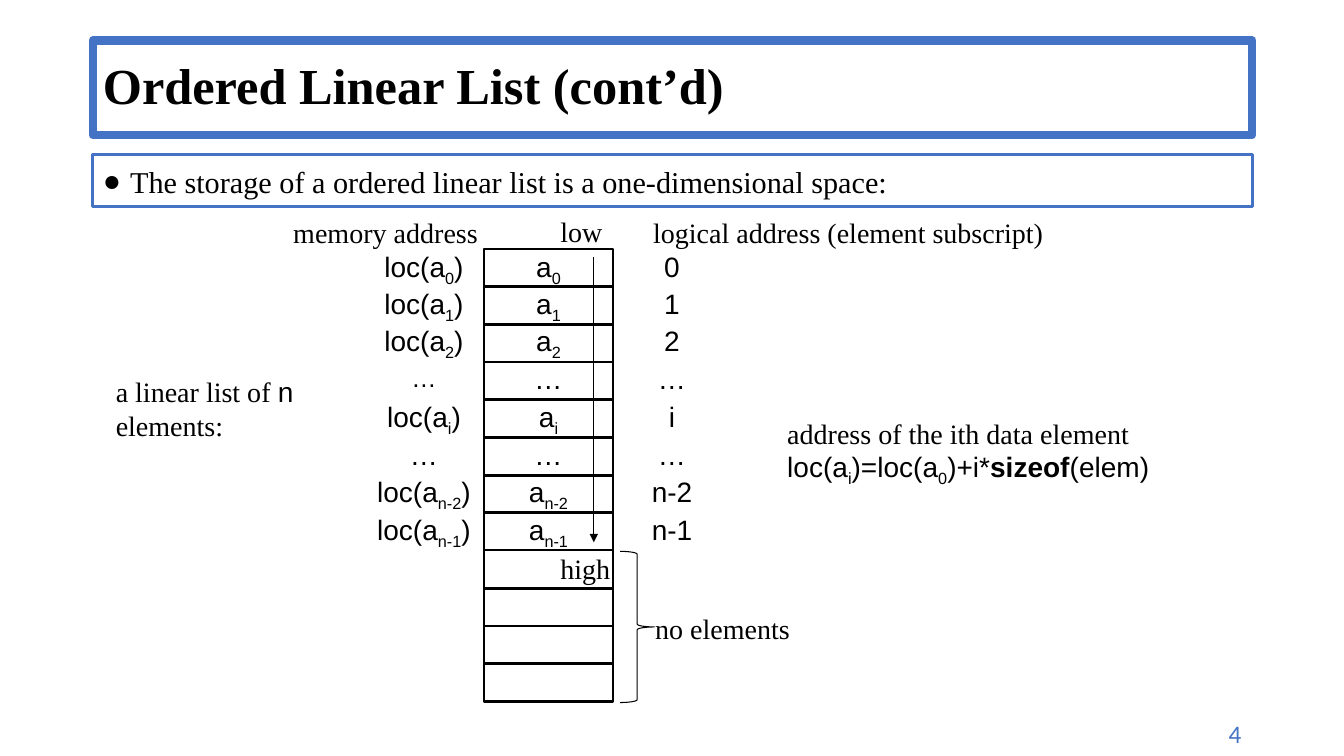
from lxml.etree import SubElement
from pptx import Presentation
from pptx.dml.color import RGBColor
from pptx.enum.shapes import MSO_CONNECTOR, MSO_SHAPE
from pptx.enum.text import MSO_ANCHOR, MSO_AUTO_SIZE, PP_ALIGN
from pptx.oxml.ns import qn
from pptx.util import Emu, Pt

PX = 9144  # 100 px to the inch
BLUE = RGBColor(0x44, 0x72, 0xC4)
BLACK = RGBColor(0, 0, 0)
SERIF, SANS, NUMBER_FACE = "Times New Roman", "Arial", "Calibri"

SUBSCRIPTS = ["0", "1", "2", "…", "i", "…", "n-2", "n-1"]
CELL_COUNT = 12


def px(length):
    return Emu(length * PX)


def place(shape, left, top, width, height):
    shape.left, shape.top = px(left), px(top)
    shape.width, shape.height = px(width), px(height)


def outline(shape, color, points):
    shape.fill.background()
    shape.line.color.rgb = color
    shape.line.width = Pt(points)


def write(para, spans, size=20, face=SERIF, color=BLACK, align=PP_ALIGN.LEFT):
    """Fill a paragraph with (text, style) pairs; style is '', 'sub', 'bold' or a font."""
    para.alignment = align
    para.font.size, para.font.name, para.font.color.rgb = Pt(size), face, color
    for text, style in spans:
        span = para.add_run()
        span.text = text
        if style == "sub":
            span._r.get_or_add_rPr().set("baseline", "-25000")
        elif style == "bold":
            span.font.bold = True
        elif style:
            span.font.name = style


def add_text(page, left, top, width, height, spans, wrap=False, **looks):
    box = page.shapes.add_textbox(px(left), px(top), px(width), px(height))
    box.text_frame.word_wrap = wrap
    write(box.text_frame.paragraphs[0], spans, **looks)
    return box


def center_in_row(box):
    frame = box.text_frame
    frame.word_wrap = False
    frame.vertical_anchor = MSO_ANCHOR.TOP
    frame.margin_top = frame.margin_bottom = 0


def element(subscript):
    """Spans for a list element, or the bare ellipsis."""
    return [("…", "")] if subscript == "…" else [("a", ""), (subscript, "sub")]


def location(subscript):
    if subscript == "…":
        return [("…", "")]
    return [("loc(a", ""), (subscript, "sub"), (")", "")]


def add_heading(page, left, top, width):
    title, body = page.shapes.title, page.placeholders[1]
    for holder, offset, height, points in ((title, 0, 94, 6), (body, 113, 52, 2.25)):
        place(holder, left, top + offset, width, height)
        outline(holder, BLUE, points)
        holder.text_frame.auto_size = MSO_AUTO_SIZE.NONE
    title.text_frame.vertical_anchor = MSO_ANCHOR.MIDDLE
    para = title.text_frame.paragraphs[0]
    para.line_spacing = 0.9
    write(para, [("Ordered Linear List (cont’d)", "")], size=36)
    para.font.bold = True

    # Bulleted statement
    body.text_frame.vertical_anchor = MSO_ANCHOR.TOP
    para = body.text_frame.paragraphs[0]
    para.line_spacing, para.space_before = 1.1, Pt(0)
    properties = para._p.get_or_add_pPr()
    properties.set("marL", str(27 * PX))
    properties.set("indent", str(-27 * PX))
    SubElement(properties, qn("a:buFont")).set("typeface", SANS)
    SubElement(properties, qn("a:buChar")).set("char", "●")
    write(para, [("The storage of a ordered linear list is a one-dimensional space:", "")],
          size=21.6)


def add_memory(page, left, top, width, height):
    """Column of cells with memory addresses on its left and subscripts on its right."""
    row_height = 38
    label_width = 139
    for row in range(CELL_COUNT):
        row_top = top + row * height // CELL_COUNT
        cell = page.shapes.add_shape(MSO_SHAPE.RECTANGLE, px(left), px(row_top),
                                     px(width), px(row_height))
        cell.shadow.inherit = False
        outline(cell, BLACK, 1.5)
        if row >= len(SUBSCRIPTS):
            continue
        subscript = SUBSCRIPTS[row]
        looks = dict(face=SANS, align=PP_ALIGN.CENTER)
        write(cell.text_frame.paragraphs[0], element(subscript), **looks)
        address = add_text(page, left - 129, row_top, label_width, row_height,
                           location(subscript), size=18 if row == 3 else 20, **looks)
        index = add_text(page, left + 117, row_top, label_width, row_height,
                         [(subscript, "")], **looks)
        for box in (cell, address, index):
            center_in_row(box)

    # Column captions
    add_text(page, left - 199, top - 38, 249, 44, [("memory address", "")], wrap=True)
    add_text(page, left + 158, top - 38, 416, 44,
             [("logical address (element subscript)", "")])

    # Direction from low to high
    for label, offset in (("low", -39), ("high", 295)):
        add_text(page, left + 66, top + offset, 80, 44, [(label, "")], wrap=True)
    arrow_x = px(left + 109)
    arrow = page.shapes.add_connector(MSO_CONNECTOR.STRAIGHT, arrow_x, px(top + 8),
                                      arrow_x, px(top + 291))
    arrow.line.color.rgb, arrow.line.width = BLACK, Pt(0.75)
    SubElement(arrow.line._get_or_add_ln(), qn("a:tailEnd")).set("type", "triangle")
    SubElement(arrow._element.spPr, qn("a:effectLst"))

    # Unused cells
    brace = page.shapes.add_shape(MSO_SHAPE.RIGHT_BRACE, px(left + 135), px(top + 300),
                                  px(34), px(150))
    brace.shadow.inherit = False
    outline(brace, BLACK, 0.75)
    add_text(page, left + 160, top + 355, 170, 44, [("no elements", "")], wrap=True)


def add_notes_beside(page, left, top):
    add_text(page, left, top, 209, 77,
             [("a linear list of ", ""), ("n", SANS), (" elements:", "")], wrap=True)
    formula = add_text(page, left + 666, top + 41, 413, 77,
                       [("address of the ith data element", "")], wrap=True)
    write(formula.text_frame.add_paragraph(),
          [("loc(a", ""), ("i", "sub"), (")=loc(a", ""), ("0", "sub"), (")+i*", ""),
           ("sizeof", "bold"), ("(elem)", "")], face=SANS)


def main():
    deck = Presentation()
    deck.slide_width, deck.slide_height = px(1333), px(750)
    page = deck.slides.add_slide(deck.slide_layouts[1])
    add_heading(page, 92, 40, 1150)
    add_memory(page, 480, 247, 128, 449)
    add_notes_beside(page, 105, 367)
    add_text(page, 1084, 708, 157, 40, [("4", "")], wrap=True, size=18,
             face=NUMBER_FACE, color=BLUE, align=PP_ALIGN.RIGHT)
    deck.save("out.pptx")


if __name__ == "__main__":
    main()
